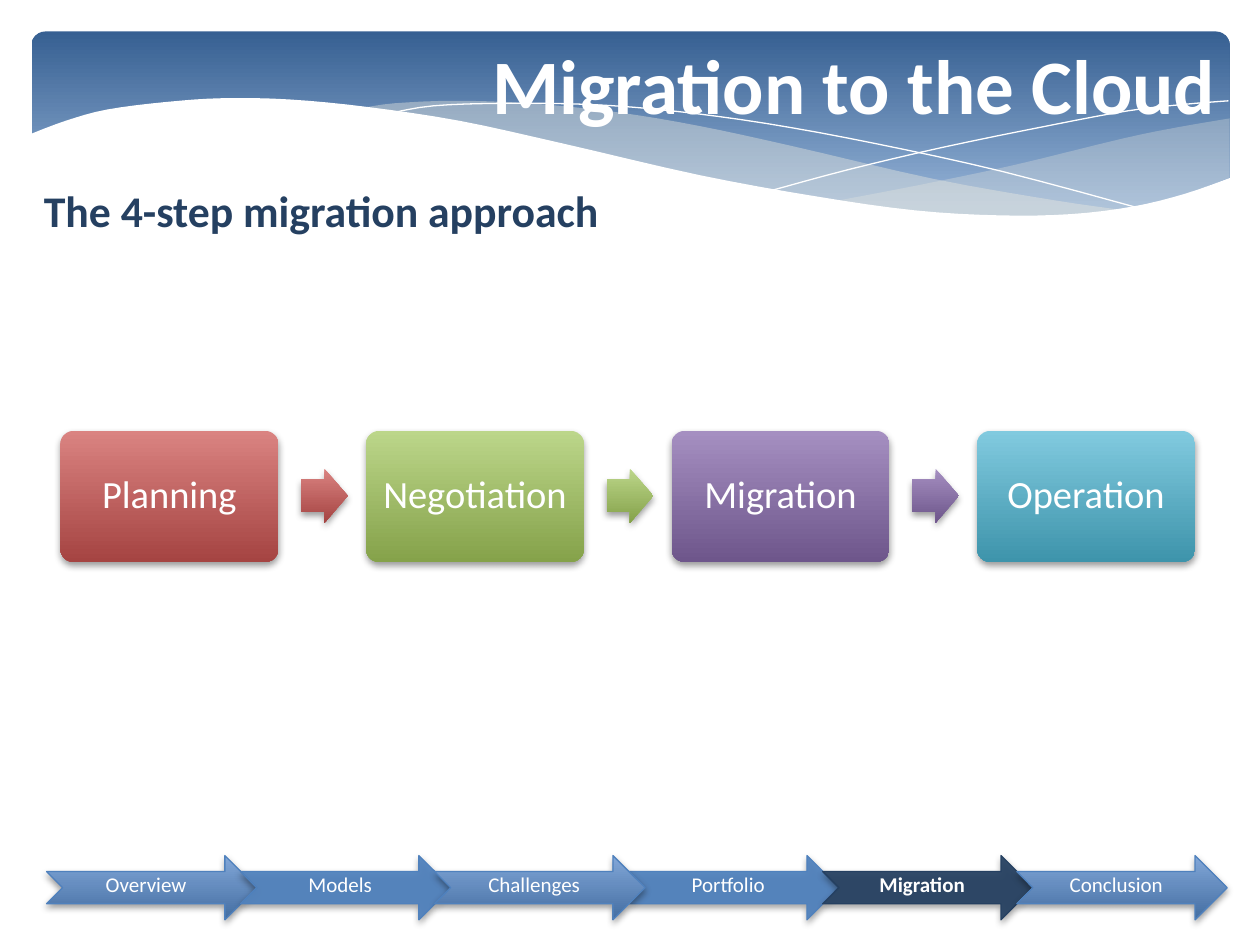
from lxml import etree
from pptx import Presentation
from pptx.dml.color import RGBColor
from pptx.enum import shapes, text
from pptx.oxml import ns
from pptx.util import Inches, Pt

THEME = {
    "font": "Calibri", "white": "FFFFFF", "sand": "EEECE1", "navy": "254061", "blue": "4F81BD",
    "banner": ("376092", "95B3D7"), "sky": ("82A7D8", "446EA2"),
    "red": ("DA8381", "A54442"), "green": ("BCD68A", "85A24A"),
    "purple": ("A58FC1", "6E568B"), "teal": ("81CADF", "3E94AB"),
    "title": 44, "subtitle": 25, "step": 22, "nav": 12,
}

prs = Presentation()
prs.slide_width, prs.slide_height = Inches(10), Inches(7.5)
slide = prs.slides.add_slide(prs.slide_layouts[5])
canvas = slide.shapes


def paint(shape, fill, opacity=100, line=None, shadow=False):
    """Fill with one colour, or with a (top, bottom) pair as a gradient."""
    shape.shadow.inherit = False
    if isinstance(fill, tuple):
        shape.fill.gradient()
        shape.fill.gradient_angle = 270
        for stop, colour in zip(shape.fill.gradient_stops, fill):
            stop.color.rgb = RGBColor.from_string(colour)
    elif fill:
        shape.fill.solid()
        shape.fill.fore_color.rgb = RGBColor.from_string(fill)
        colour = shape.fill._xPr.find(".//" + ns.qn("a:srgbClr"))
        etree.SubElement(colour, ns.qn("a:alpha"), val=str(opacity * 1000))
    else:
        shape.fill.background()
    if line:
        shape.line.color.rgb = RGBColor.from_string(line)
        shape.line.width = Pt(0.75 if fill else 0)
    else:
        shape.line.fill.background()
    if shadow:
        effects = shape._element.spPr.find(ns.qn("a:effectLst"))
        outer = etree.SubElement(effects, ns.qn("a:outerShdw"), blurRad=str(Pt(4)),
                                 dist=str(Pt(2)), dir="5400000", rotWithShape="0")
        black = etree.SubElement(outer, ns.qn("a:srgbClr"), val="000000")
        etree.SubElement(black, ns.qn("a:alpha"), val="38000")


def write(frame, words, size, colour="white", bold=False, align=None):
    paragraph = frame.paragraphs[0]
    paragraph.alignment = align
    run = paragraph.add_run()
    run.text = words
    run.font.name, run.font.size, run.font.bold = THEME["font"], Pt(THEME[size]), bold
    run.font.color.rgb = RGBColor.from_string(THEME[colour])
    return paragraph


# Banner
banner = canvas.add_shape(shapes.MSO_SHAPE.ROUNDED_RECTANGLE,
                          Inches(0.25), Inches(0.25), Inches(9.51), Inches(1.56))
banner.adjustments[0] = 0.07
paint(banner, THEME["banner"])
banner.fill.gradient_stops[1].position = 0.9

# Each wave: fill, opacity, line, then the smooth curves that make its outline
waves = [
    (THEME["sand"], 29, None, [
        [(9.76, 0.94), (9.35, 1.01), (8.91, 1.1), (8.05, 1.31), (7.29, 1.47), (6.61, 1.6)],
        [(6.61, 1.6), (7.19, 1.67), (7.69, 1.71), (8.14, 1.72), (8.54, 1.7), (8.97, 1.65),
         (9.35, 1.56), (9.76, 1.41)]]),
    (THEME["sand"], 40, None, [
        [(8.93, 1.67), (8.37, 1.59), (7.41, 1.42), (6.29, 1.16), (5.55, 1), (4.89, 0.89),
         (4.2, 0.82), (3.61, 0.8), (3.13, 0.82), (2.86, 0.86)],
        [(2.86, 0.86), (3.42, 0.94), (4.04, 1.06), (4.91, 1.26), (5.66, 1.43), (6.34, 1.56),
         (6.95, 1.65), (7.48, 1.7), (8.07, 1.73), (8.48, 1.72), (8.93, 1.67)]]),
    (None, 100, THEME["white"], [
        [(3.09, 0.9), (3.44, 0.84), (4.01, 0.82), (4.69, 0.83), (5.33, 0.88), (6.08, 0.98),
         (6.95, 1.14), (7.95, 1.36), (9.07, 1.66)]]),
    (None, 100, THEME["white"], [
        [(6.13, 1.51), (6.72, 1.35), (7.48, 1.17), (8.36, 0.99), (8.95, 0.88), (9.38, 0.83),
         (9.75, 0.8)]]),
    (THEME["white"], 100, None, [
        [(9.77, 1.41), (9.4, 1.54), (8.99, 1.64), (8.5, 1.7), (7.93, 1.71), (7.26, 1.67),
         (6.48, 1.56), (5.55, 1.39), (4.47, 1.14), (3.65, 0.96), (2.92, 0.85), (2.3, 0.79),
         (1.77, 0.78), (1.32, 0.81), (0.85, 0.87), (0.52, 0.96), (0.23, 1.07)],
        [(0.23, 2.24), (9.77, 2.24)]]),
]
for fill, opacity, line, curves in waves:
    outline = []
    for curve in curves:
        padded = [curve[0], *curve, curve[-1]]
        for a, b, c, d in zip(padded, padded[1:], padded[2:], padded[3:]):
            for t in (0, 0.25, 0.5, 0.75):  # Catmull-Rom spline from b to c
                outline.append(tuple(
                    Inches(q + t * (r - p + t * (2 * p - 5 * q + 4 * r - s
                                                 + t * (3 * (q - r) + s - p))) / 2)
                    for p, q, r, s in zip(a, b, c, d)))
        outline.append(tuple(Inches(v) for v in curve[-1]))
    builder = canvas.build_freeform(*outline[0])
    builder.add_line_segments(outline[1:], close=fill is not None)
    paint(builder.convert_to_shape(), fill, opacity, line)

# Title, brought in front of the banner
title = canvas.title
title.left, title.top, title.width, title.height = (Inches(v) for v in (3.69, 0.23, 6.18, 0.87))
title.text_frame.vertical_anchor = text.MSO_ANCHOR.MIDDLE
write(title.text_frame, "Migration to the Cloud", "title", bold=True, align=text.PP_ALIGN.CENTER)
canvas._spTree.append(title._element)

# Section arrows, back to front
nav_left, nav_pitch = 0.37, 1.54
sections = ["Overview", "Models", "Challenges", "Portfolio", "Migration", "Conclusion"]
for column in (3, 4, 5, 0, 1, 2):
    section = canvas.add_shape(shapes.MSO_SHAPE.NOTCHED_RIGHT_ARROW,
                               Inches(nav_left + column * nav_pitch), Inches(6.79),
                               Inches(1.67), Inches(0.51))
    current = sections[column] == "Migration"
    edge = THEME["navy" if current else "blue"]
    paint(section, edge if column in (1, 3, 4) else THEME["sky"], 93, edge, shadow=True)
    frame = section.text_frame
    frame.word_wrap = False
    frame.margin_left = frame.margin_top = 0
    frame.margin_right, frame.margin_bottom = Inches(0.09), Inches(0.06)
    write(frame, sections[column], "nav", bold=current, align=text.PP_ALIGN.CENTER)

subtitle = canvas.add_textbox(Inches(0.25), Inches(1.41), Inches(7.62), Inches(0.52))
subtitle.text_frame.word_wrap = True
write(subtitle.text_frame, "The 4-step migration approach", "subtitle", "navy", bold=True)

# Four steps with an arrow in each gap
step_left, step_pitch = 0.48, 2.425
steps = [("Planning", "red"), ("Negotiation", "green"), ("Migration", "purple"),
         ("Operation", "teal")]
for column, (name, hue) in enumerate(steps):
    left = step_left + column * step_pitch
    step = canvas.add_shape(shapes.MSO_SHAPE.ROUNDED_RECTANGLE,
                            Inches(left), Inches(3.42), Inches(1.73), Inches(1.04))
    step.adjustments[0] = 0.1
    paint(step, THEME[hue], shadow=True)
    frame = step.text_frame
    frame.margin_left = frame.margin_right = Inches(0.09)
    frame.vertical_anchor = text.MSO_ANCHOR.MIDDLE
    write(frame, name, "step", align=text.PP_ALIGN.CENTER).line_spacing = 0.9
    if column < len(steps) - 1:
        arrow = canvas.add_shape(shapes.MSO_SHAPE.RIGHT_ARROW,
                                 Inches(left + 1.91), Inches(3.72), Inches(0.37), Inches(0.43))
        arrow.adjustments[0] = 0.6
        paint(arrow, THEME[hue], shadow=True)

prs.save("out.pptx")
